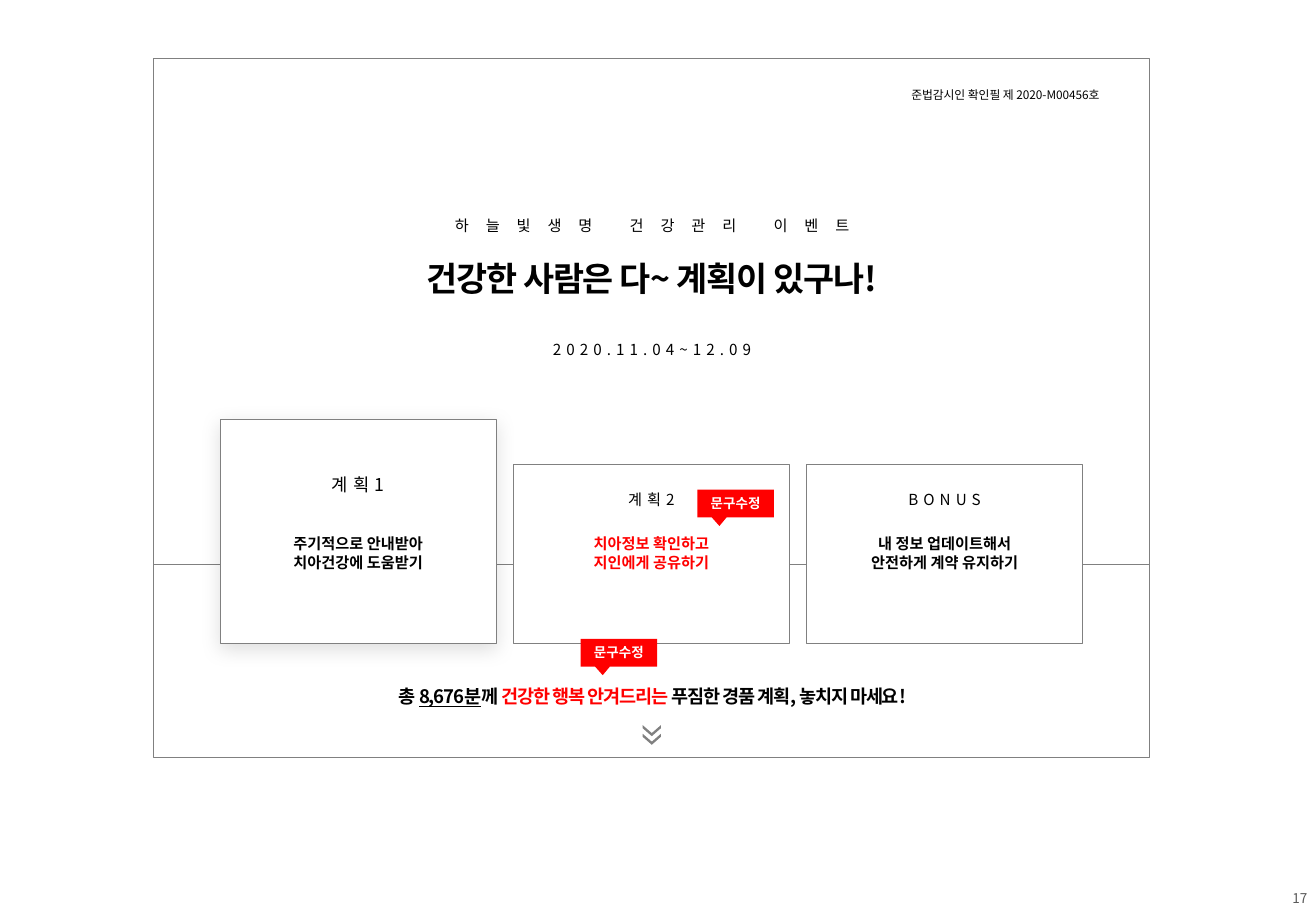
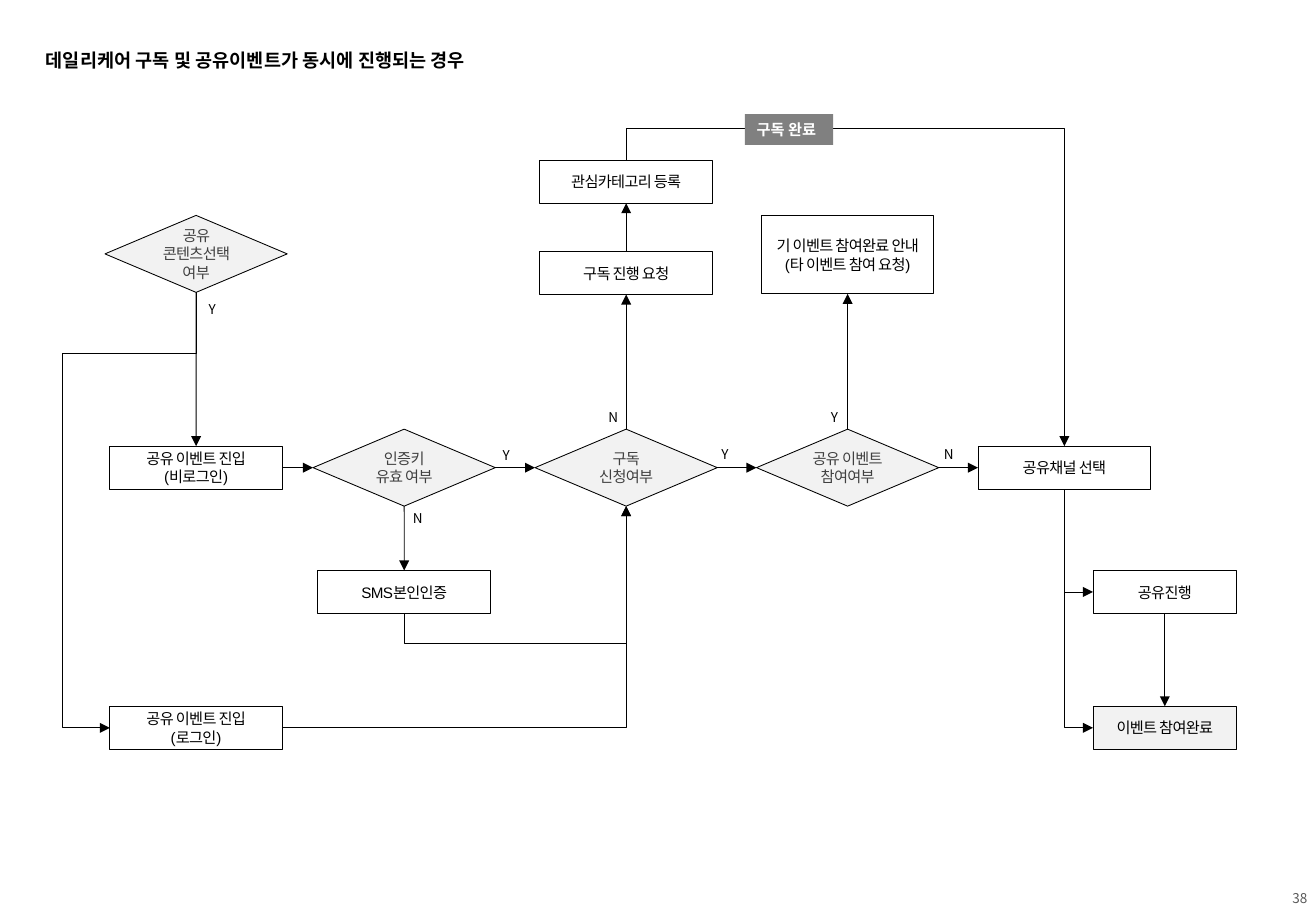
from lxml.etree import SubElement
from pptx import Presentation
from pptx.dml.color import RGBColor
from pptx.enum.shapes import MSO_CONNECTOR as LINK, MSO_SHAPE as SHAPE
from pptx.enum.text import MSO_ANCHOR as ANCHOR, MSO_AUTO_SIZE as FIT, PP_ALIGN as ALIGN
from pptx.oxml.ns import qn
from pptx.util import Cm, Pt

# Shared look
rgb = RGBColor.from_string
BLACK, WHITE, RED = "000000", "FFFFFF", "FF0000"
GREY, PALE, DARK, PAGE_GREY = "808080", "F2F2F2", "404040", "595959"
KOREAN = "Noto Sans CJK KR"


def style(shape, fill, line=None, width=0.25):
    shape.shadow.inherit = False
    shape.fill.solid()
    shape.fill.fore_color.rgb = rgb(fill)
    if line:
        shape.line.color.rgb = rgb(line)
        shape.line.width = Pt(width)
    else:
        shape.line.fill.background()


def write(shape, lines, size, color=BLACK, font=KOREAN, bold=False, spacing=0,
          align=ALIGN.CENTER, before=0, wrap=False, grow=True,
          anchor=ANCHOR.TOP, margins=(0.25, 0.13, 0.25, 0.13)):
    """Fill a shape; a line is a string or a list of (text, colour, underline)."""
    frame = shape.text_frame
    frame.word_wrap = wrap
    frame.auto_size = FIT.SHAPE_TO_FIT_TEXT if grow else FIT.NONE
    frame.vertical_anchor = anchor
    (frame.margin_left, frame.margin_top,
     frame.margin_right, frame.margin_bottom) = map(Cm, margins)
    for index, line in enumerate(lines):
        paragraph = frame.add_paragraph() if index else frame.paragraphs[0]
        paragraph.alignment = align
        paragraph.space_before = Pt(before)
        runs = [(line, color, False)] if isinstance(line, str) else line
        for text, run_color, underline in runs:
            run = paragraph.add_run()
            run.text = text
            run.font.size = Pt(size)
            run.font.name = font
            run.font.bold = bold
            run.font.underline = underline
            run.font.color.rgb = rgb(run_color)
            properties = run.font._element
            properties.set("spc", str(round(spacing * 100)))
            SubElement(properties, qn("a:ea")).set("typeface", KOREAN)


deck = Presentation()
deck.slide_width, deck.slide_height = Cm(27.51), Cm(19.05)
event, flow = [deck.slides.add_slide(deck.slide_layouts[6]) for _ in range(2)]

# Page numbers
for slide, number in ((event, "17"), (flow, "38")):
    page = slide.shapes.add_textbox(Cm(25.65), Cm(18.47), Cm(1.93), Cm(0.61))
    write(page, [number], 8, PAGE_GREY, align=ALIGN.RIGHT, wrap=True, anchor=ANCHOR.MIDDLE)

# Event page: frame in two parts
for top, height in ((11.79, 4.04), (1.22, 10.57)):
    frame_part = event.shapes.add_shape(SHAPE.RECTANGLE, Cm(3.2), Cm(top), Cm(20.83), Cm(height))
    style(frame_part, WHITE, GREY)

# Event page: heading texts
closing = [("총 ", BLACK, False), ("8,676분", BLACK, True), ("께 ", BLACK, False),
           ("건강한 행복 안겨드리는 ", RED, False),
           ("푸짐한 경품 계획, 놓치지 마세요!", BLACK, False)]
for at, line, size, bold, spacing, align in (
        ((18.8, 1.7, 4.85, 0.56), "준법감시인 확인필 제 2020-M00456호", 7, False, 0, ALIGN.LEFT),
        ((8.1, 5.26, 11.05, 1.12), "건강한 사람은 다~ 계획이 있구나!", 20, True, -0.7, ALIGN.CENTER),
        ((8.84, 4.39, 9.58, 0.64), "하늘빛생명 건강관리 이벤트", 9, False, 10, ALIGN.CENTER),
        ((11.23, 6.99, 4.8, 0.64), "2020.11.04~12.09", 9, False, 3, ALIGN.CENTER),
        ((7.57, 14.2, 12.14, 0.74), closing, 11, True, -0.7, ALIGN.CENTER)):
    heading = event.shapes.add_textbox(*map(Cm, at))
    write(heading, [line], size, bold=bold, spacing=spacing, align=align, before=5)

# Event page: plan cards, standing on one base line
CARD_WIDTH, CARD_PITCH, CARD_BOTTOM = 5.77, 6.13, 13.46
cards = (
    (8.76, "계획1", 10.5, (9.78, 1.78, 0.71), BLACK, 3.51,
     ["주기적으로 안내받아", "치아건강에 도움받기"]),
    (9.7, "계획2", 9, (10.13, 1.65, 0.64), RED, 3.2,
     ["치아정보 확인하고", "지인에게 공유하기"]),
    (9.7, "BONUS", 9, (10.13, 2.13, 0.64), BLACK, 3.94,
     ["내 정보 업데이트해서", "안전하게 계약 유지하기"]))
for index, (top, name, size, name_at, color, body_width, body) in enumerate(cards):
    left = 4.6 + index * CARD_PITCH
    middle = left + CARD_WIDTH / 2
    card = event.shapes.add_shape(SHAPE.RECTANGLE, Cm(left), Cm(top),
                                  Cm(CARD_WIDTH), Cm(CARD_BOTTOM - top))
    style(card, WHITE, GREY)
    if index == 0:
        effects = card.element.spPr.find(qn("a:effectLst"))
        shadow = SubElement(effects, qn("a:outerShdw"), blurRad=str(Pt(12)),
                            dist=str(Pt(3)), dir="5400000", algn="t", rotWithShape="0")
        shade = SubElement(shadow, qn("a:srgbClr"), val=BLACK)
        SubElement(shade, qn("a:alpha"), val="12000")
    name_top, name_width, name_height = name_at
    card_name = event.shapes.add_textbox(Cm(middle - name_width / 2), Cm(name_top),
                                         Cm(name_width), Cm(name_height))
    write(card_name, [name], size, spacing=3, before=5)
    card_body = event.shapes.add_textbox(Cm(middle - body_width / 2), Cm(11.05),
                                         Cm(body_width), Cm(1.02))
    write(card_body, body, 9, color, bold=True)

# Event page: double arrow pointing down
for top in (15.27, 15.09):
    chevron = event.shapes.add_shape(SHAPE.CHEVRON, Cm(13.51), Cm(top), Cm(0.23), Cm(0.38))
    chevron.rotation = 90
    chevron.adjustments[0] = 0.72
    style(chevron, GREY)

# Event page: red edit marks
MARK_OUTLINE = ((1.6, 0), (1.6, 0.58), (0.61, 0.58), (0.46, 0.76), (0.3, 0.58), (0, 0.58))
for left, top in ((12.14, 13.36), (14.58, 10.24)):
    outline = event.shapes.build_freeform(Cm(left), Cm(top))
    outline.add_line_segments([(Cm(left + x), Cm(top + y)) for x, y in MARK_OUTLINE])
    mark = outline.convert_to_shape()
    style(mark, RED)
    write(mark, ["문구수정"], 8, WHITE, bold=True, wrap=True, grow=False,
          anchor=ANCHOR.MIDDLE, margins=(0.1, 0.1, 0.1, 0.3))

# Flow page: title
title = flow.shapes.add_textbox(Cm(0.71), Cm(0.89), Cm(10.06), Cm(0.74))
write(title, ["데일리케어 구독 및 공유이벤트가 동시에 진행되는 경우"], 11,
      font="Calibri", bold=True, align=ALIGN.LEFT)

# Flow page: steps, placed by their centres
ENTRY, AUTH, SUBSCRIBE, JOINED, CHANNEL, SHARE = 4.1, 8.45, 13.09, 17.72, 22.25, 24.35
MAIN_ROW, SMS_ROW, LAST_ROW = 9.78, 12.38, 15.22
DECISION = (SHAPE.FLOWCHART_DECISION, 3.81, 1.61, PALE, DARK)
STEP = (SHAPE.RECTANGLE, 3.61, 0.9, WHITE, BLACK)
NOTICE = (SHAPE.RECTANGLE, 3.61, 1.63, WHITE, BLACK)
SHORT = (SHAPE.RECTANGLE, 3, 0.9, WHITE, BLACK)
FINISH = (SHAPE.RECTANGLE, 3, 0.9, PALE, BLACK)
steps = {}
for key, kind, x, y, lines in (
        ("content", DECISION, ENTRY, 5.31, ["공유 콘텐츠선택 여부"]),
        ("guest", STEP, ENTRY, MAIN_ROW, ["공유 이벤트 진입", "(비로그인)"]),
        ("member", STEP, ENTRY, LAST_ROW, ["공유 이벤트 진입", "(로그인)"]),
        ("key", DECISION, AUTH, MAIN_ROW, ["인증키", "유효 여부"]),
        ("sms", STEP, AUTH, SMS_ROW, ["SMS본인인증"]),
        ("subscribed", DECISION, SUBSCRIBE, MAIN_ROW, ["구독", "신청여부"]),
        ("request", STEP, SUBSCRIBE, 5.71, ["구독 진행 요청"]),
        ("category", STEP, SUBSCRIBE, 3.8, ["관심카테고리 등록"]),
        ("joined", DECISION, JOINED, MAIN_ROW, ["공유 이벤트", "참여여부"]),
        ("notice", NOTICE, JOINED, 5.33, ["기 이벤트 참여완료 안내", "(타 이벤트 참여 요청)"]),
        ("channel", STEP, CHANNEL, MAIN_ROW, ["공유채널 선택"]),
        ("share", SHORT, SHARE, SMS_ROW, ["공유진행"]),
        ("done", FINISH, SHARE, LAST_ROW, ["이벤트 참여완료"])):
    preset, width, height, fill, color = kind
    step = flow.shapes.add_shape(preset, Cm(x - width / 2), Cm(y - height / 2),
                                 Cm(width), Cm(height))
    style(step, fill, BLACK, 0.5)
    write(step, lines, 9, color, font="Arial", spacing=-0.4, wrap=True, grow=False,
          anchor=ANCHOR.MIDDLE, margins=(0, 0, 0, 0))
    steps[key] = step

# Flow page: arrows; bent ones add preset, rotation, flips and adjustments
TOP, LEFT, BOTTOM, RIGHT = range(4)
for start, start_side, end, end_side, *bend in (
        ("content", BOTTOM, "guest", TOP),
        ("guest", RIGHT, "key", LEFT),
        ("key", RIGHT, "subscribed", LEFT),
        ("key", BOTTOM, "sms", TOP),
        ("subscribed", RIGHT, "joined", LEFT),
        ("subscribed", TOP, "request", BOTTOM),
        ("request", TOP, "category", BOTTOM),
        ("joined", TOP, "notice", BOTTOM),
        ("joined", RIGHT, "channel", LEFT),
        ("share", BOTTOM, "done", TOP),
        ("sms", BOTTOM, "subscribed", BOTTOM, "bentConnector3", 90, "HV", [-0.28]),
        ("channel", BOTTOM, "share", LEFT, "bentConnector2", 270, "H", []),
        ("channel", BOTTOM, "done", LEFT, "bentConnector2", 270, "H", []),
        ("content", BOTTOM, "member", LEFT, "bentConnector4", 90, "", [0.14, 1.55]),
        ("member", RIGHT, "subscribed", BOTTOM, "bentConnector2", 0, "V", []),
        ("category", TOP, "channel", TOP, "bentConnector3", 270, "H", [-0.11])):
    arrow = flow.shapes.add_connector(LINK.ELBOW if bend else LINK.STRAIGHT, 0, 0, 0, 0)
    arrow.begin_connect(steps[start], start_side)
    arrow.end_connect(steps[end], end_side)
    arrow.line.color.rgb = rgb(BLACK)
    arrow.line.width = Pt(0.5)
    properties = arrow.element.spPr
    SubElement(properties.find(qn("a:ln")), qn("a:tailEnd"), type="triangle")
    SubElement(properties, qn("a:effectLst"))
    if bend:
        preset, turn, flips, adjustments = bend
        center_x, center_y = arrow.left + arrow.width // 2, arrow.top + arrow.height // 2
        width, height = arrow.width, arrow.height
        if turn:
            width, height = height, width
        arrow.left, arrow.top = center_x - width // 2, center_y - height // 2
        arrow.width, arrow.height = width, height
        placement = properties.find(qn("a:xfrm"))
        placement.set("rot", str(turn * 60000))
        for axis in "HV":
            placement.set("flip" + axis, "1" if axis in flips else "0")
        geometry = properties.find(qn("a:prstGeom"))
        geometry.set("prst", preset)
        for index, value in enumerate(adjustments, 1):
            SubElement(geometry.find(qn("a:avLst")), qn("a:gd"), name=f"adj{index}",
                       fmla=f"val {round(value * 100000)}")

# Flow page: answers beside the arrows
for answer, left, top in (
        ("Y", 4.11, 6.17), ("Y", 10.26, 9.22), ("N", 8.38, 10.54), ("N", 12.47, 8.43),
        ("Y", 14.83, 9.19), ("Y", 17.12, 8.43), ("N", 19.48, 9.19)):
    answer_label = flow.shapes.add_textbox(Cm(left), Cm(top), Cm(0.7), Cm(0.61))
    write(answer_label, [answer], 8, align=ALIGN.LEFT)

# Flow page: badge on the long arrow
badge = flow.shapes.add_shape(SHAPE.RECTANGLE, Cm(15.57), Cm(2.39), Cm(1.85), Cm(0.64))
style(badge, GREY)
write(badge, ["구독 완료"], 9, WHITE, font="Calibri", bold=True, align=ALIGN.LEFT)

deck.save("out.pptx")
